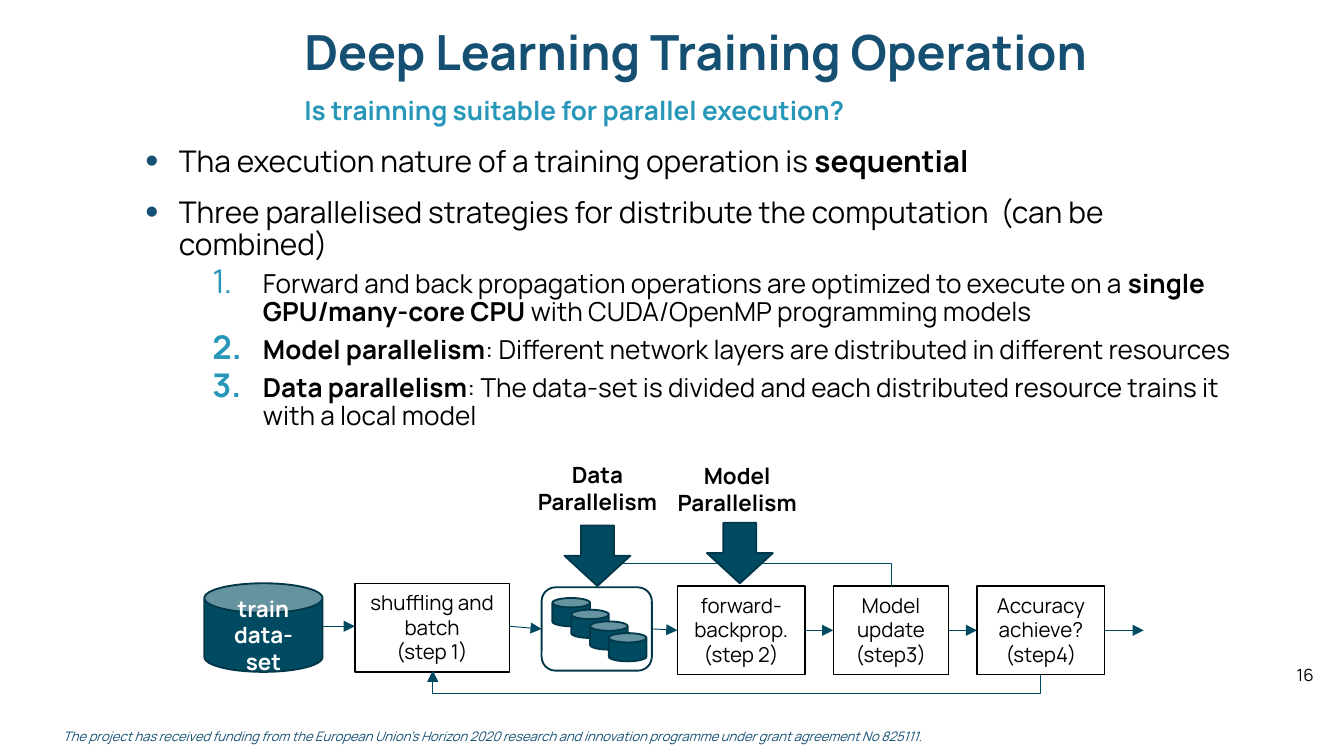
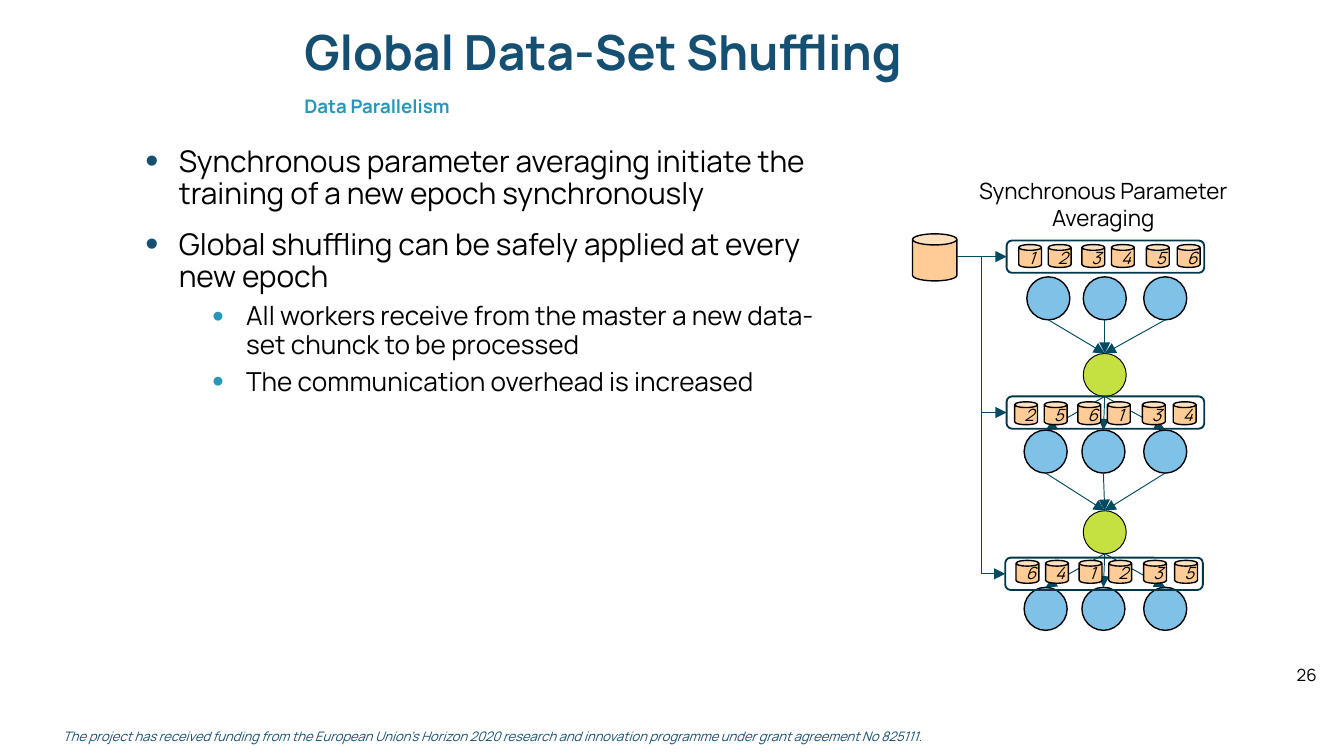
from lxml.etree import SubElement as Sub
from pptx import Presentation as Show
from pptx.dml.color import RGBColor as Rgb
from pptx.enum.shapes import MSO_CONNECTOR as Wire, MSO_SHAPE as Form
from pptx.enum.text import MSO_ANCHOR as Anchor, MSO_AUTO_SIZE as Fit, PP_ALIGN as Align
from pptx.oxml.ns import qn
from pptx.util import Inches, Pt

NAVY, SKY, TEAL, DARK = "155073", "2797B9", "004B62", "003749"
BLACK, WHITE, PEACH, BLUE, LIME = "000000", "FFFFFF", "FFCC98", "80C1E8", "C5E041"
FUND = ("*The project has received funding from the European Union’s Horizon 2020 "
        "research and innovation programme under grant agreement No 825111*.")


def tint(code):
    return Rgb.from_string(code)


class Deck:
    font = "Manrope"
    cols = 100

    def __init__(self):
        self.show = Show()
        self.show.slide_width = Inches(10)
        self.show.slide_height = Inches(10) * 9 // 16
        self.cell = self.show.slide_width / self.cols

    def span(self, *cells):
        return [round(c * self.cell) for c in cells]

    def page(self, title, sub, size, num):
        self.slide = self.show.slides.add_slide(self.show.slide_layouts[6])
        self.text(95.5, 49, 3.8, 2.5, num, 9, wrap=False)
        self.text(3.7, 53.7, 67.4, 2.2, FUND, 7, NAVY, mark="italic")
        self.text(22.64, 2.35, 67, 4.3, f"*{title}*", 25.9, NAVY, lead=0.7, left=0, grow=False)
        self.text(22.64, 6.77, 66.1, 2.4, f"*{sub}*", size, SKY, lead=0.9, left=0, grow=False)

    def style(self, para, size, color, mark="bold"):
        parts = para.text.split("*")
        para.text = ""
        for i, part in enumerate(parts):
            if part:
                run = para.add_run()
                run.text = part
                run.font.name, run.font.size = self.font, Pt(size)
                run.font.color.rgb = tint(color)
                setattr(run.font, mark, i % 2 == 1)

    def fill_in(self, frame, text, size, color, mark="bold", align=None, lead=None):
        frame.text = text
        for para in frame.paragraphs:
            self.style(para, size, color, mark)
            para.alignment, para.line_spacing = align, lead

    def text(self, x, y, w, h, text, size, color=BLACK, mark="bold", align=None,
             lead=None, left=1, wrap=True, grow=True):
        frame = self.slide.shapes.add_textbox(*self.span(x, y, w, h)).text_frame
        frame.word_wrap = wrap
        frame.margin_left, = self.span(left)
        frame.auto_size = Fit.SHAPE_TO_FIT_TEXT if grow else Fit.NONE
        self.fill_in(frame, text, size, color, mark, align, lead)

    def points(self, x, y, w, h, items):
        frame = self.slide.shapes.add_textbox(*self.span(x, y, w, h)).text_frame
        frame.word_wrap = True
        frame.text = "\n".join(text for text, kind in items)
        kinds = {"top": (0, 2.5, 2.5, NAVY, 16, 10),
                 "sub": (1, 7.5, 2.5, SKY, 14, 5),
                 "num": (1, 8.75, 3.75, SKY, 14, 5)}
        for i, (para, (text, kind)) in enumerate(zip(frame.paragraphs, items)):
            level, edge, hang, hue, size, gap = kinds[kind]
            para.level = level
            props = para._p.get_or_add_pPr()
            left, back = self.span(edge, -hang)
            props.set("marL", str(left))
            props.set("indent", str(back))
            Sub(Sub(props, qn("a:buClr")), qn("a:srgbClr"), val=hue)
            Sub(props, qn("a:buSzPct"), val="125000")
            if kind == "num":
                Sub(props, qn("a:buAutoNum"), type="arabicPeriod")
            else:
                Sub(props, qn("a:buFont"), typeface="Arial")
                Sub(props, qn("a:buChar"), char="•")
            para.line_spacing = 0.9
            para.space_before = Pt(gap if i else 0)
            self.style(para, size, BLACK)

    def shape(self, form, x, y, w, h, fill=None, line=DARK, width=1, bend=None):
        item = self.slide.shapes.add_shape(form, *self.span(x, y, w, h))
        item.shadow.inherit = False
        if fill:
            item.fill.solid()
            item.fill.fore_color.rgb = tint(fill)
        else:
            item.fill.background()
        item.line.color.rgb = tint(line)
        item.line.width = Pt(width)
        if bend:
            item.adjustments[0] = bend
        return item

    def can(self, x, y, w, h):
        return self.shape(Form.CAN, x, y, w, h, TEAL, bend=0.333)

    def step(self, x, y, w, text):
        frame = self.shape(Form.RECTANGLE, x, y, w, 6.6, line=BLACK, width=0.75).text_frame
        frame.vertical_anchor = Anchor.TOP
        frame.auto_size = Fit.SHAPE_TO_FIT_TEXT
        self.fill_in(frame, text, 11, BLACK, align=Align.CENTER)

    def ball(self, x, y, fill, width):
        self.shape(Form.OVAL, x, y, 3.2, 3.2, fill, BLACK, width)

    def arrow(self, x1, y1, x2, y2, wire=Wire.STRAIGHT):
        item = self.slide.shapes.add_connector(wire, *self.span(x1, y1, x2, y2))
        item.line.color.rgb = tint(TEAL)
        item.line.width = Pt(0.5)
        Sub(item.line._get_or_add_ln(), qn("a:tailEnd"), type="triangle")
        Sub(item._element.spPr, qn("a:effectLst"))
        return item

    def loop(self, x1, y1, x2, y2, level):
        cx, cy = (x1 + x2) / 2, (y1 + y2) / 2
        item = self.arrow(cx + y1 - cy, cy + cx - x1, cx + y2 - cy, cy + cx - x2, Wire.ELBOW)
        props = item._element.spPr
        props.find(qn("a:xfrm")).set("rot", "5400000")
        share = round((level - y1) / (y2 - y1) * 100000)
        Sub(props.find(".//" + qn("a:avLst")), qn("a:gd"), name="adj1", fmla=f"val {share}")


def train(deck):
    deck.page("Deep Learning Training Operation",
              "Is trainning suitable for parallel execution?", 14, "16")
    deck.points(9.83, 10.4, 84.7, 40.8, [
        ("Tha execution nature of a training operation is *sequential*", "top"),
        ("Three parallelised strategies for distribute the computation  (can be combined)", "top"),
        ("Forward and back propagation operations are optimized to execute on a "
         "*single GPU/many-core CPU* with CUDA/OpenMP programming models", "num"),
        ("*Model parallelism*: Different network layers are distributed in "
         "different resources", "num"),
        ("*Data parallelism*: The data-set is divided and each distributed resource "
         "trains it with a local model", "num")])
    store = deck.can(15.2, 43.4, 8.8, 6.6).text_frame
    store.vertical_anchor = Anchor.MIDDLE
    deck.fill_in(store, "*train data-set*", 12, WHITE, align=Align.CENTER)
    for i in range(4):
        deck.can(41.1 + 1.4 * i, 44.5 + 0.87 * i, 2.8, 2.1)
    for x, y, w, text in [(26.4, 43.4, 11.5, "shuffling and\nbatch\n(step 1)"),
                          (50.4, 43.6, 9.5, "forward-backprop.\n(step 2)"),
                          (62, 43.6, 8.6, "Model update (step3)"),
                          (72.7, 43.6, 9.5, "Accuracy achieve? (step4)")]:
        deck.step(x, y, w, text)
    deck.loop(66.3, 43.6, 44.4, 43.7, 41.9)
    deck.loop(77.4, 50.2, 32.2, 49.9, 51.6)
    deck.shape(Form.ROUNDED_RECTANGLE, 40.3, 43.7, 8.2, 6.2)
    for x1, y1, x2, y2 in [(24, 46.6, 26.4, 46.6), (37.9, 46.6, 40.3, 46.8),
                           (48.6, 46.8, 50.4, 46.9), (59.9, 46.9, 62, 46.9),
                           (70.6, 46.9, 72.7, 46.9), (82.2, 46.9, 85.1, 46.9)]:
        deck.arrow(x1, y1, x2, y2)
    for name, x, y, left, top in [("Data", 42, 39.1, 37.9, 33.8),
                                  ("Model", 52.6, 38.9, 48.3, 33.9)]:
        deck.shape(Form.DOWN_ARROW, x, y, 4.9, 4.5, TEAL)
        deck.text(left, top, 13.1, 5, f"*{name} Parallelism*", 12, align=Align.CENTER)


def shuffle(deck):
    deck.page("Global Data-Set Shuffling", "Data Parallelism", 10, "26")
    deck.points(9.83, 10.4, 54.4, 40.8, [
        ("Synchronous parameter averaging initiate the training of a new epoch "
         "synchronously", "top"),
        ("Global shuffling can be safely applied at every new epoch", "top"),
        ("All workers receive from the master a new data-set chunck to be processed", "sub"),
        ("The communication overhead is increased", "sub")])
    first, later = (76.4, 80.6, 85.1), (76.2, 80.5, 85.1)
    rows = [("123456", 75.8, 18.2, first, 20.6, 74.9, 17.9),
            ("256134", 75.5, 29.9, later, 32, 74.9, 29.5),
            ("641235", 75.6, 41.7, later, 43.7, 74.8, 41.5)]
    hubs = [26.3, 38]
    for row in rows:
        for x in row[3]:
            deck.ball(x, row[4], BLUE, 0.75)
    for y, above, below in zip(hubs, rows, rows[1:]):
        deck.ball(80.6, y, LIME, 0.5)
        for x in above[3]:
            deck.arrow(x + 1.6, above[4] + 3.2, 82.2, y)
        for x in below[3]:
            deck.arrow(82.2, y + 3.2, x + 1.6, below[4])
    deck.shape(Form.CAN, 67.9, 17.4, 3.3, 3.5, PEACH, BLACK, 0.75)
    for nums, start, top, balls, y, left, band in rows:
        for num, step in zip(nums, (0, 2.2, 4.7, 6.9, 9.5, 11.8)):
            chunk = deck.shape(Form.CAN, start + step, top, 1.7, 1.7, PEACH, BLACK, 0.75)
            chunk.text_frame.vertical_anchor = Anchor.MIDDLE
            deck.fill_in(chunk.text_frame, f"*{num}*", 9, BLACK, "italic", Align.CENTER)
        deck.shape(Form.ROUNDED_RECTANGLE, left, band, 14.7, 2.4)
        deck.arrow(71.2, 19.1, left, band + 1.2, Wire.ELBOW)
    deck.text(71.3, 12.7, 21.6, 5, "Synchronous Parameter Averaging", 12, align=Align.CENTER)


def main():
    deck = Deck()
    train(deck)
    shuffle(deck)
    deck.show.save("out.pptx")


if __name__ == "__main__":
    main()
